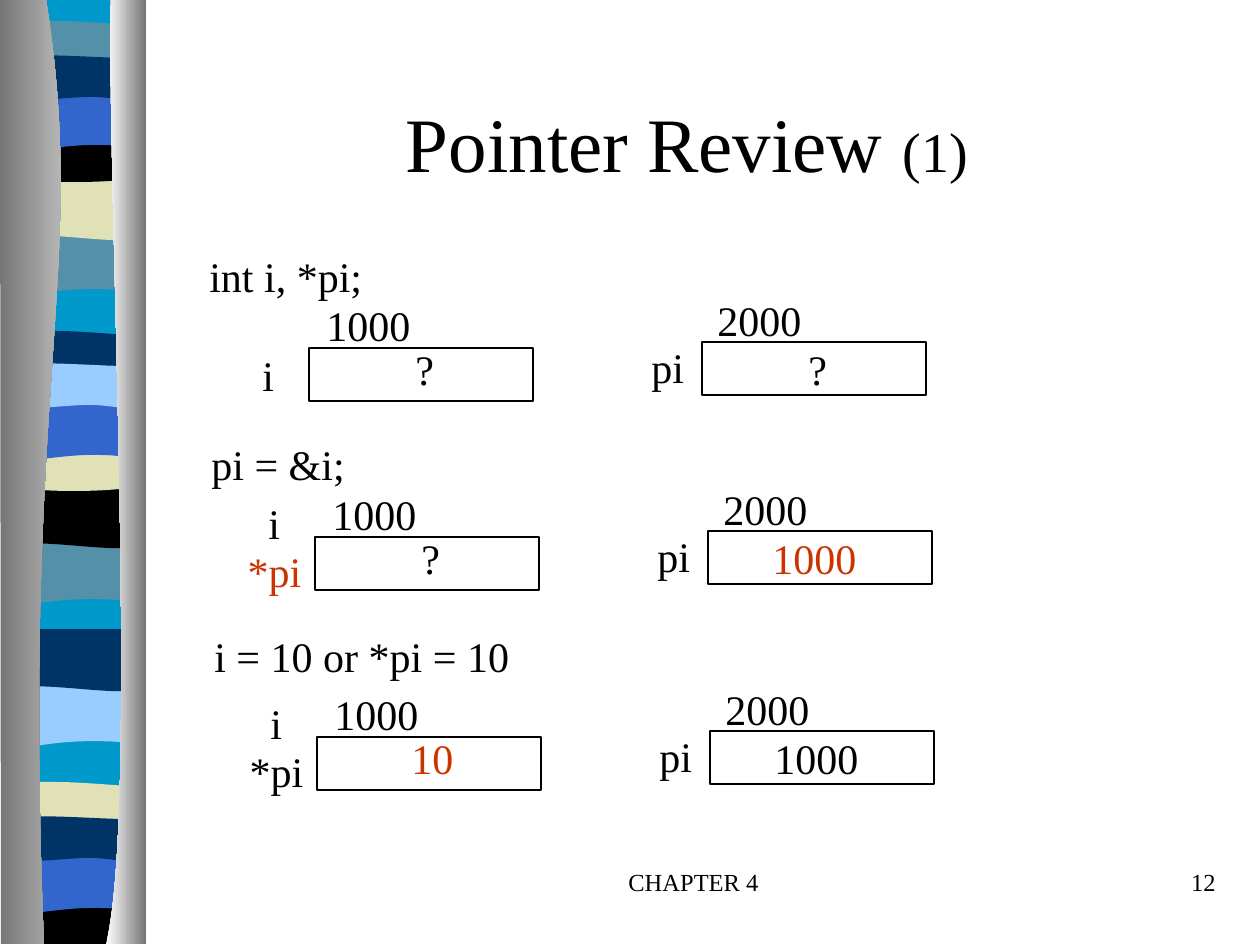
from dataclasses import dataclass

from pptx import Presentation
from pptx import util as u
from pptx.dml.color import RGBColor
from pptx.enum import shapes, text
from pptx.oxml.ns import qn
from pptx.oxml.xmlchemy import OxmlElement

SCALE = 914400 / 126  # EMU in one px


@dataclass(frozen=True)
class Theme:
    font: str = "Times New Roman"
    ink: str = "000000"
    accent: str = "CC3300"
    shade: str = "767676"
    light: str = "D3D3D3"
    white: str = "FFFFFF"
    cyan: str = "0099CC"
    teal: str = "5490A8"
    navy: str = "003366"
    blue: str = "3366CC"
    sky: str = "99CCFF"
    sand: str = "E1E1B7"
    title_size: int = 44
    part_size: int = 32
    body_size: int = 24
    footer_size: int = 14


THEME = Theme()
SLIDE_WIDTH, SLIDE_HEIGHT = 1260, 945
BOX_WIDTH, BOX_HEIGHT = 224, 53
TEXT_HEIGHT = 63

# Band outlines: lists of steps, one point for a line, three for a curve
SHEET = [[(136, 0)], [(136, 942)], [(0, 942)], [(0, 0)]]
SWELL = [[(136, 0)], [(136, 59)], [(42, 49), (23, 69), (0, 59)], [(0, 0)]]
ROLL = [[(136, 0)], [(136, 59)], [(113, 69), (42, 52), (0, 59)], [(0, 0)]]
THIN = [[(136, 6)], [(136, 37)], [(113, 42), (23, 42), (0, 37)], [(0, 6)],
        [(8, 0), (29, 1), (52, 1)], [(74, 1), (118, 5), (136, 6)]]
DIP = [[(136, 0)], [(136, 40)], [(113, 48), (23, 48), (0, 40)], [(0, 0)],
       [(83, 6), (107, 0), (136, 0)]]
FOOT = [[(136, 0)], [(136, 47)], [(0, 47)], [(0, 0)], [(83, 6), (107, 0), (136, 0)]]
ARCH = [[(136, 0)], [(136, 59)], [(115, 52), (106, 52), (83, 52)],
        [(60, 52), (20, 59), (0, 59)], [(0, 0)]]
WAVE = [[(136, 6)], [(136, 45)], [(127, 52), (106, 45), (83, 45)],
        [(60, 45), (14, 52), (0, 45)], [(0, 6)],
        [(19, 0), (92, 6), (115, 6)], [(137, 6), (131, 6), (136, 6)]]

# Ribbon, back to front: outline, left, top, colour
BANDS = [
    (SHEET, 8, -1, THEME.cyan),
    (SWELL, 8, 233, THEME.teal), (ROLL, 8, 178, THEME.sand), (THIN, 8, 20, THEME.teal),
    (DIP, 8, 136, THEME.ink), (ARCH, 8, 93, THEME.blue), (WAVE, 8, 52, THEME.navy),
    (SWELL, 6, 543, THEME.teal), (ROLL, 6, 486, THEME.ink), (THIN, 6, 330, THEME.navy),
    (DIP, 6, 445, THEME.sand), (ARCH, 6, 403, THEME.blue), (WAVE, 6, 360, THEME.sky),
    (SWELL, 8, 685, THEME.sky), (ROLL, 8, 629, THEME.navy), (THIN, 6, 781, THEME.sand),
    (FOOT, 6, 897, THEME.ink), (ARCH, 6, 856, THEME.blue), (WAVE, 6, 813, THEME.navy),
]
LEFT_STRIP = [[(46, -1)], [(89, 272), (21, 373), (44, 944)], [(1, 944)], [(0, -1)]]
RIGHT_STRIP = [[(111, -1)], [(106, 158), (140, 814), (106, 944)], [(146, 944)], [(146, 0)]]

# Statement with its place and width, shift of the memory drawing,
# then (value, left, width, colour) for i and pi, and the colour of *pi
STATES = [
    ("int i, *pi;", 197, 244, 178, 0, 0,
     ("?", 403, 44, THEME.ink), ("?", 796, 44, THEME.ink), None),
    ("pi = &i;", 199, 432, 159, 6, 189,
     ("?", 403, 44, THEME.ink), ("1000", 754, 170, THEME.accent), THEME.accent),
    ("i = 10 or *pi = 10", 202, 624, 320, 8, 389,
     ("10", 391, 67, THEME.accent), ("1000", 754, 170, THEME.ink), THEME.ink),
]


def px(length):
    return u.Emu(round(length * SCALE))


def rgb(value):
    return RGBColor.from_string(value)


def style_font(font, size, color=THEME.ink):
    font.name = THEME.font
    font.size = u.Pt(size)
    font.color.rgb = rgb(color)


def add_outline(slide, steps, left=0, top=0):
    points = [(left + x, top + y) for step in steps for x, y in step]
    builder = slide.shapes.build_freeform(*points[0], scale=SCALE)
    builder.add_line_segments(points[1:], close=True)
    shape = builder.convert_to_shape()
    shape.shadow.inherit = False
    shape.line.fill.background()
    # Join the three lines of each curved step into one curve
    lines = iter(list(shape.element.iter(qn("a:lnTo"))))
    for step in steps[1:]:
        parts = [next(lines) for _ in step]
        if len(parts) == 3:
            curve = OxmlElement("a:cubicBezTo")
            parts[0].addprevious(curve)
            for part in parts:
                curve.append(part[0])
                part.getparent().remove(part)
    return shape


def add_band(slide, steps, left, top, color):
    shape = add_outline(slide, steps, left, top)
    shape.fill.solid()
    shape.fill.fore_color.rgb = rgb(color)


def add_strip(slide, steps, colors):
    shape = add_outline(slide, steps)
    shape.fill.gradient()
    shape.fill.gradient_angle = 0
    for stop, color in zip(shape.fill.gradient_stops, colors):
        stop.color.rgb = rgb(color)


def add_label(slide, words, left, top, width, color=THEME.ink, size=THEME.body_size,
              align=text.PP_ALIGN.LEFT, wrap=True):
    shape = slide.shapes.add_textbox(px(left), px(top), px(width), px(TEXT_HEIGHT))
    shape.text_frame.word_wrap = wrap
    if not wrap:
        shape.text_frame.auto_size = text.MSO_AUTO_SIZE.SHAPE_TO_FIT_TEXT
    paragraph = shape.text_frame.paragraphs[0]
    paragraph.text = words
    paragraph.alignment = align
    style_font(paragraph.font, size, color)


def add_cell(slide, left, top):
    shape = slide.shapes.add_shape(shapes.MSO_SHAPE.RECTANGLE, px(left), px(top),
                                   px(BOX_WIDTH), px(BOX_HEIGHT))
    shape.shadow.inherit = False
    shape.fill.background()
    shape.line.color.rgb = rgb(THEME.ink)
    shape.line.width = u.Pt(0.75)


def add_state(slide, statement, left, top, width, dx, dy, i_value, pi_value, alias_color):
    add_label(slide, statement, left, top, width, wrap=False)
    # Memory cells with their addresses
    add_cell(slide, 309 + dx, 348 + dy)
    add_cell(slide, 702 + dx, 342 + dy)
    add_label(slide, "1000", 314 + dx, 293 + dy, 109, wrap=False)
    add_label(slide, "2000", 705 + dx, 288 + dy, 109, wrap=False)
    # Names; i moves up where *pi stands under it
    add_label(slide, "i", 250 + dx, (302 if alias_color else 343) + dy, 37, wrap=False)
    add_label(slide, "pi", 639 + dx, 335 + dy, 58, wrap=False)
    if alias_color:
        add_label(slide, "*pi", 229 + dx, 350 + dy, 79, alias_color,
                  align=text.PP_ALIGN.CENTER, wrap=False)
    # Values held
    for words, value_left, value_width, color in (i_value, pi_value):
        add_label(slide, words, value_left + dx, 337 + dy, value_width, color)


def set_title(slide):
    title = slide.shapes.title
    title.left, title.top, title.width, title.height = map(px, (161, 63, 1071, 158))
    title.text_frame.vertical_anchor = text.MSO_ANCHOR.MIDDLE
    paragraph = title.text_frame.paragraphs[0]
    paragraph.alignment = text.PP_ALIGN.CENTER
    for words, size, color in (("Pointer Review ", THEME.title_size, THEME.ink),
                               ("(1)", THEME.part_size, THEME.ink),
                               (" ", THEME.title_size, THEME.navy)):
        run = paragraph.add_run()
        run.text = words
        style_font(run.font, size, color)


def main():
    presentation = Presentation()
    presentation.slide_width = px(SLIDE_WIDTH)
    presentation.slide_height = px(SLIDE_HEIGHT)
    slide = presentation.slides.add_slide(presentation.slide_layouts[5])

    # Ribbon between two grey strips
    for band in BANDS:
        add_band(slide, *band)
    add_strip(slide, LEFT_STRIP, (THEME.shade, THEME.light))
    add_strip(slide, RIGHT_STRIP, (THEME.white, THEME.shade))

    set_title(slide)
    for state in STATES:
        add_state(slide, *state)

    # Footer
    add_label(slide, "CHAPTER 4", 494, 861, 399, size=THEME.footer_size,
              align=text.PP_ALIGN.CENTER)
    add_label(slide, "12", 966, 861, 262, size=THEME.footer_size,
              align=text.PP_ALIGN.RIGHT)
    presentation.save("out.pptx")


if __name__ == "__main__":
    main()
